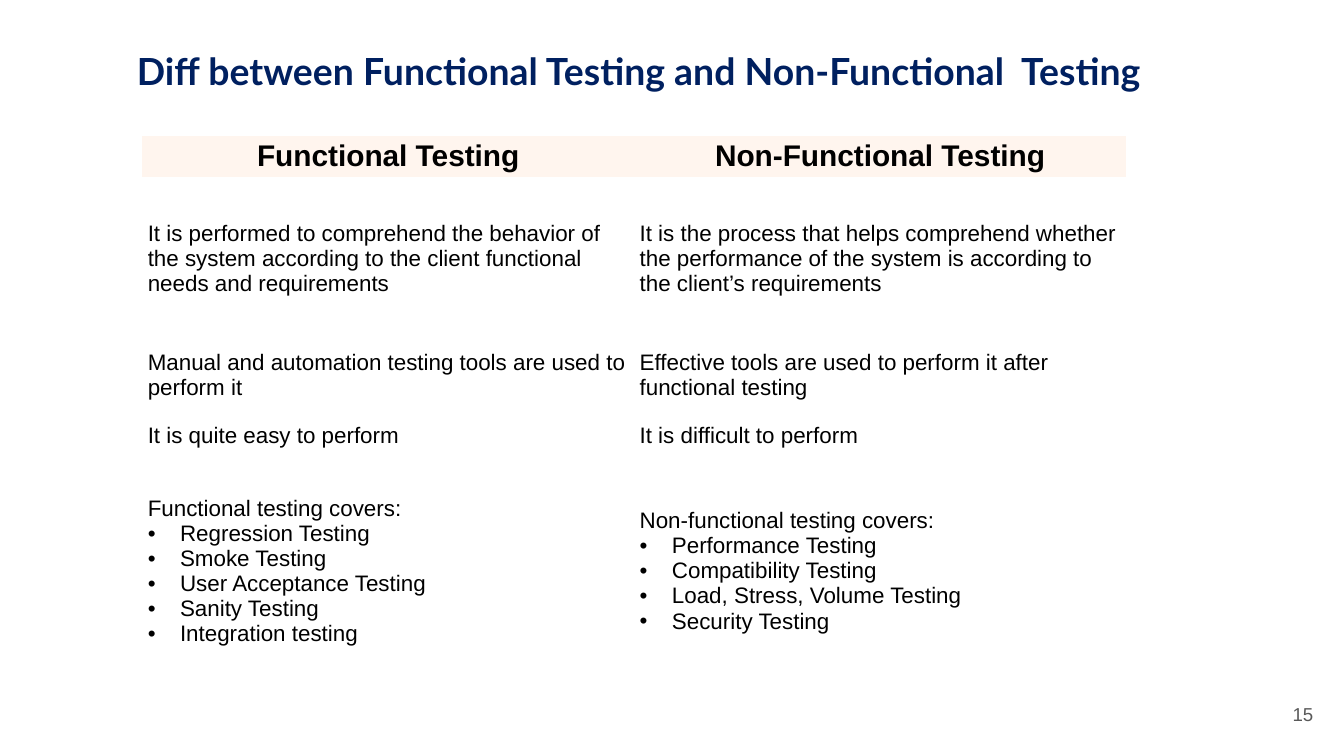
from dataclasses import dataclass

from lxml import etree
from pptx import Presentation
from pptx.dml.color import RGBColor
from pptx.enum.text import MSO_ANCHOR, PP_ALIGN
from pptx.oxml.ns import qn
from pptx.util import Inches, Pt

LEFT, CENTER, RIGHT = PP_ALIGN.LEFT, PP_ALIGN.CENTER, PP_ALIGN.RIGHT
TOP, MIDDLE = MSO_ANCHOR.TOP, MSO_ANCHOR.MIDDLE

BLACK = RGBColor(0x00, 0x00, 0x00)
WHITE = RGBColor(0xFF, 0xFF, 0xFF)
NAVY = RGBColor(0x00, 0x20, 0x60)
GRAY = RGBColor(0x59, 0x59, 0x59)
PEACH = RGBColor(0xFF, 0xF5, 0xEE)

PAGE_WIDTH = Inches(10)
PAGE_HEIGHT = PAGE_WIDTH * 9 // 16
COLUMN_WIDTH = 3.66
SIDE_INSET = Inches(0.04)
EDGE_INSET = Inches(0.03)
BULLET_INDENT = Inches(0.24)


@dataclass(frozen=True)
class Style:
    size: int
    color: RGBColor
    font: str = "Arial"
    bold: bool = False
    align: PP_ALIGN = LEFT


@dataclass(frozen=True)
class Label:
    text: str
    left: float
    top: float
    width: float
    height: float
    style: Style
    anchor: MSO_ANCHOR
    inset: float


@dataclass(frozen=True)
class Entry:
    text: str
    bullets: tuple[str, ...] = ()


@dataclass(frozen=True)
class Row:
    height: float
    functional: Entry
    non_functional: Entry


HEADER = Style(16, BLACK, bold=True, align=CENTER)
BODY = Style(12, BLACK)

LABELS = [
    Label("15", 9.27, 5.1, 0.6, 0.43, Style(10, GRAY, align=RIGHT), MIDDLE, 0.1),
    Label("Diff between Functional Testing and Non-Functional  Testing",
          0.92, 0.31, 7.87, 0.44, Style(20, NAVY, "Lato", True), TOP, 0.05),
]

ROWS = [
    Row(0.31, Entry("Functional Testing"), Entry("Non-Functional Testing")),
    Row(1.21,
        Entry("It is performed to comprehend the behavior of the system "
              "according to the client functional needs and requirements"),
        Entry("It is the process that helps comprehend whether the performance "
              "of the system is according to the client’s requirements")),
    Row(0.53,
        Entry("Manual and automation testing tools are used to perform it"),
        Entry("Effective tools are used to perform it after functional testing")),
    Row(0.36, Entry("It is quite easy to perform"), Entry("It is difficult to perform")),
    Row(1.66,
        Entry("Functional testing covers:",
              ("Regression Testing", "Smoke Testing", "User Acceptance Testing",
               "Sanity Testing", "Integration testing")),
        Entry("Non-functional testing covers:",
              ("Performance Testing", "Compatibility Testing",
               "Load, Stress, Volume Testing", "Security Testing"))),
]


def write(para, text: str, style: Style) -> None:
    para.alignment = style.align
    span = para.add_run()
    span.text = text
    span.font.size = Pt(style.size)
    span.font.name = style.font
    span.font.bold = style.bold
    span.font.color.rgb = style.color


def add_bullet(para) -> None:
    properties = para._p.get_or_add_pPr()
    properties.set("marL", str(BULLET_INDENT))
    properties.set("indent", str(-BULLET_INDENT))
    color = etree.SubElement(properties, qn("a:buClr"))
    etree.SubElement(color, qn("a:srgbClr")).set("val", str(BLACK))
    etree.SubElement(properties, qn("a:buFont")).set("typeface", "Arial")
    etree.SubElement(properties, qn("a:buChar")).set("char", "•")


def add_label(page, label: Label) -> None:
    box = page.shapes.add_textbox(Inches(label.left), Inches(label.top),
                                  Inches(label.width), Inches(label.height))
    frame = box.text_frame
    frame.word_wrap = True
    frame.vertical_anchor = label.anchor
    frame.margin_left = frame.margin_right = Inches(0.1)
    frame.margin_top = frame.margin_bottom = Inches(label.inset)
    write(frame.paragraphs[0], label.text, label.style)


def fill_cell(cell, entry: Entry, style: Style, fill: RGBColor) -> None:
    cell.fill.solid()
    cell.fill.fore_color.rgb = fill
    cell.vertical_anchor = MIDDLE
    cell.margin_left = cell.margin_right = SIDE_INSET
    cell.margin_top = cell.margin_bottom = EDGE_INSET
    frame = cell.text_frame
    write(frame.paragraphs[0], entry.text, style)
    for bullet in entry.bullets:
        para = frame.add_paragraph()
        add_bullet(para)
        write(para, bullet, style)


def clear_borders(cell) -> None:
    properties = cell._tc.get_or_add_tcPr()
    for position, side in enumerate(("a:lnL", "a:lnR", "a:lnT", "a:lnB")):
        border = etree.Element(qn(side))
        etree.SubElement(border, qn("a:noFill"))
        properties.insert(position, border)


def add_comparison(page, rows: list[Row]) -> None:
    height = sum(row.height for row in rows)
    table = page.shapes.add_table(len(rows), 2, Inches(1.06), Inches(1.01),
                                  Inches(2 * COLUMN_WIDTH), Inches(height)).table
    table.horz_banding = False
    table.first_row = False
    for column in table.columns:
        column.width = Inches(COLUMN_WIDTH)
    for index, row in enumerate(rows):
        table.rows[index].height = Inches(row.height)
        style, fill = (BODY, WHITE) if index else (HEADER, PEACH)
        for column, entry in enumerate((row.functional, row.non_functional)):
            cell = table.cell(index, column)
            fill_cell(cell, entry, style, fill)
            clear_borders(cell)


def main() -> None:
    deck = Presentation()
    deck.slide_width = PAGE_WIDTH
    deck.slide_height = PAGE_HEIGHT
    page = deck.slides.add_slide(deck.slide_layouts[6])
    add_comparison(page, ROWS)
    for label in LABELS:
        add_label(page, label)
    deck.save("out.pptx")


if __name__ == "__main__":
    main()
